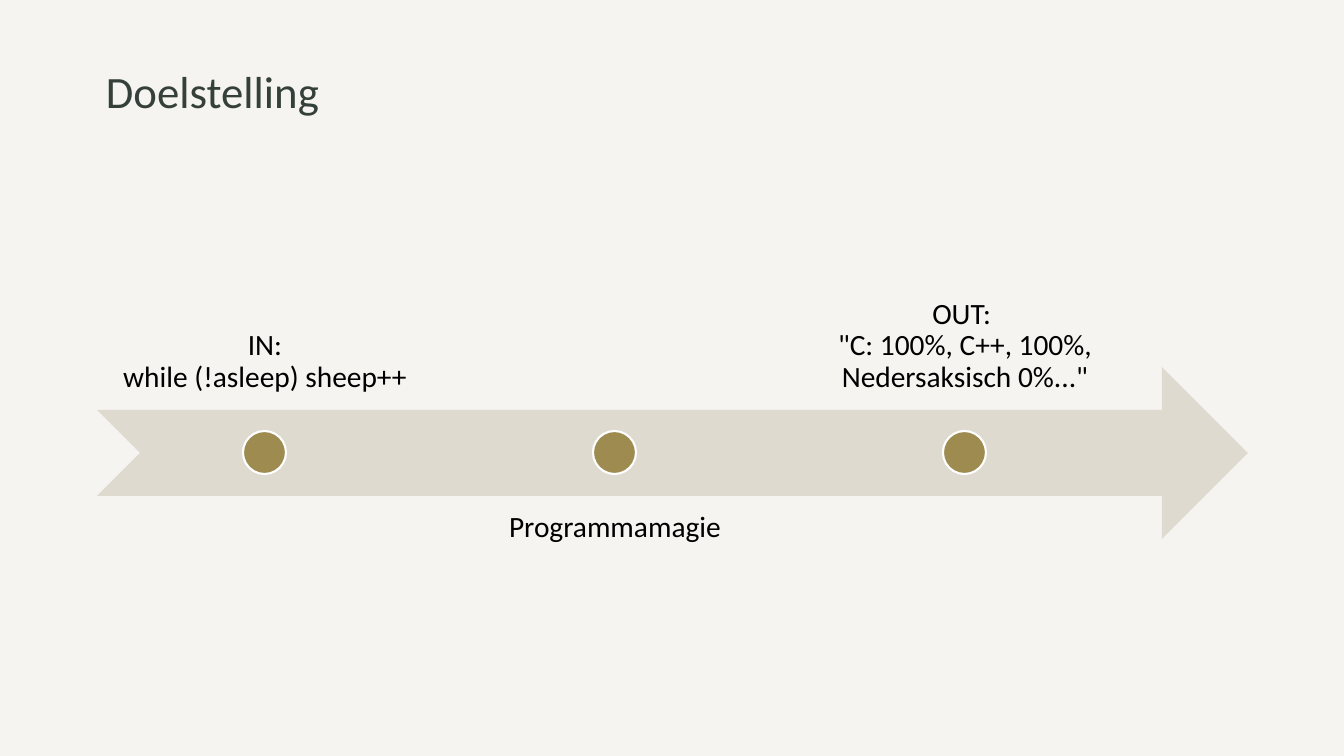
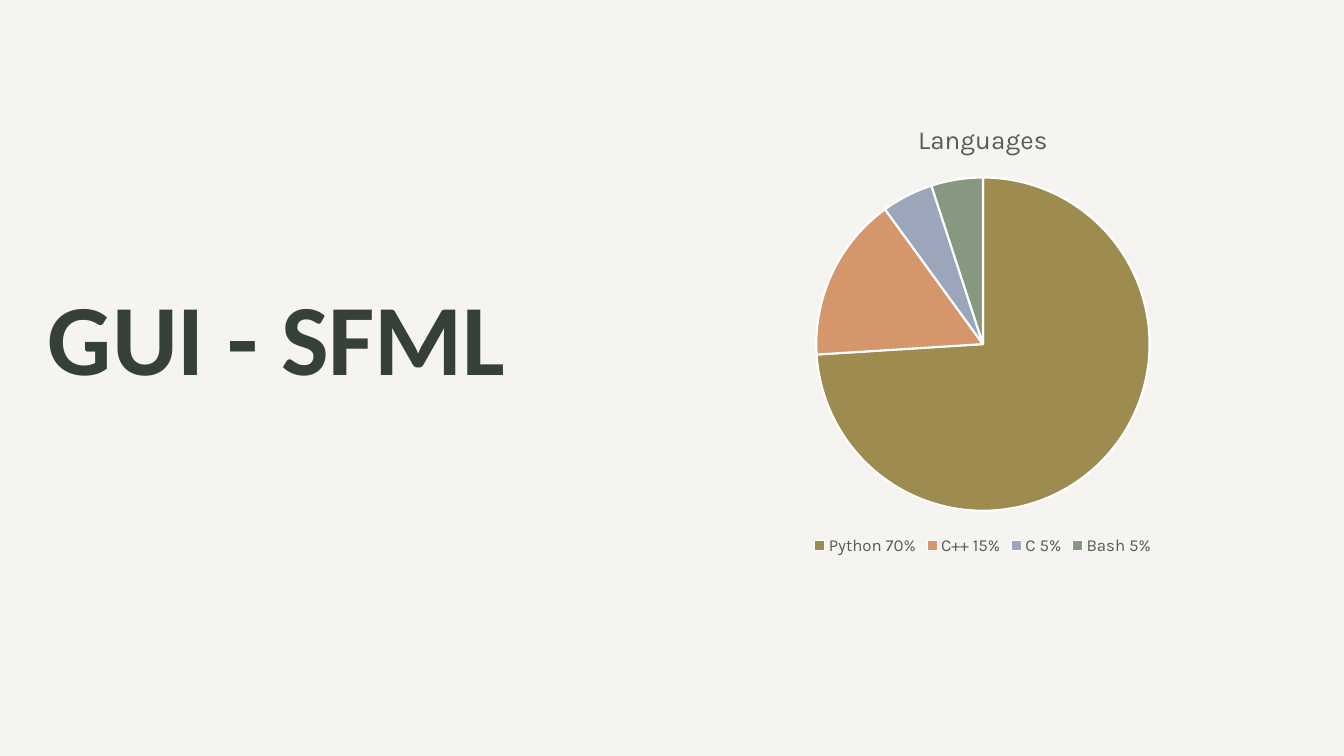
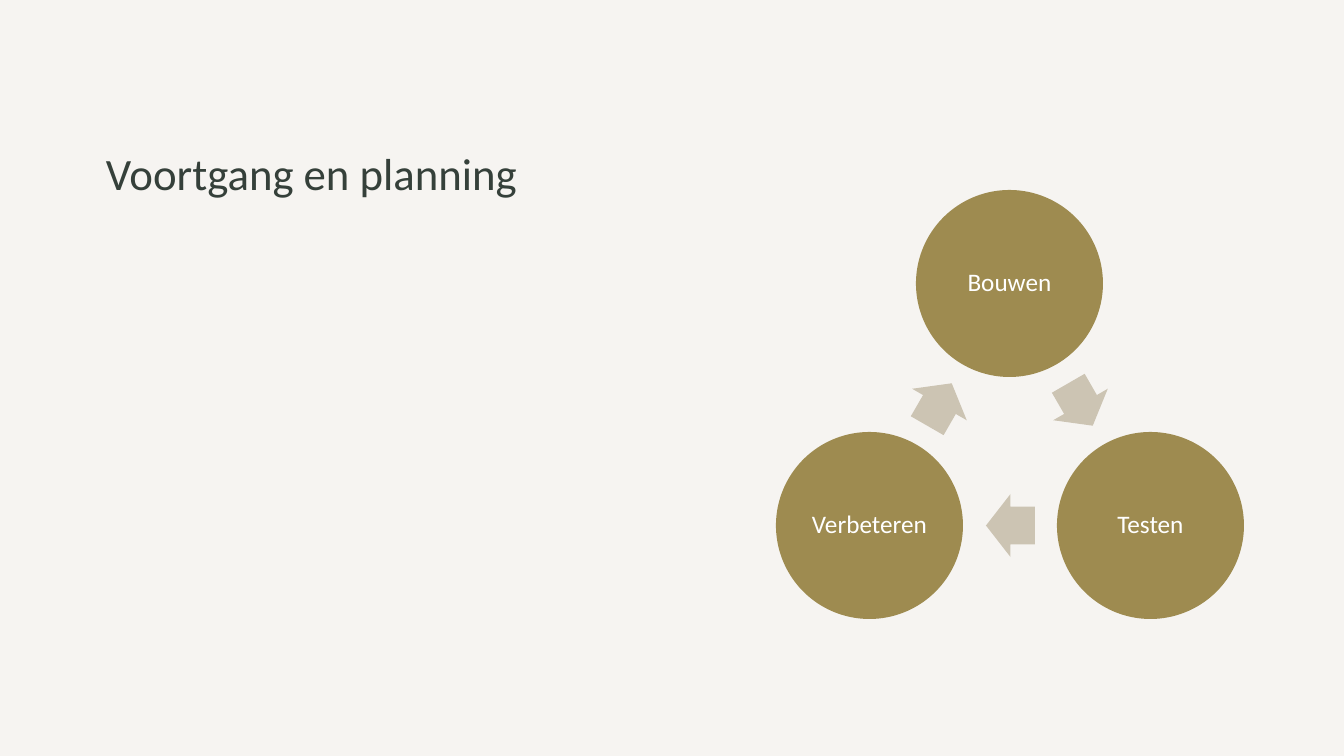
from math import cos, radians, sin

from pptx import Presentation
from pptx.chart.data import CategoryChartData
from pptx.dml.color import RGBColor
from pptx.enum.chart import XL_CHART_TYPE, XL_LEGEND_POSITION
from pptx.enum.shapes import MSO_SHAPE
from pptx.enum.text import MSO_ANCHOR, PP_ALIGN
from pptx.util import Emu, Pt

WIDTH, HEIGHT = 1344, 756
SCALE = 12192000 / WIDTH
PAPER = RGBColor(0xF6, 0xF4, 0xF1)
FOREST = RGBColor(0x35, 0x40, 0x3A)
OLIVE = RGBColor(0x9E, 0x8B, 0x50)
SAND = RGBColor(0xDF, 0xDA, 0xD0)
STONE = RGBColor(0xCC, 0xC4, 0xB3)
CLAY = RGBColor(0xD5, 0x96, 0x6B)
BLUE = RGBColor(0x9B, 0xA6, 0xBB)
SAGE = RGBColor(0x86, 0x98, 0x80)
GRAY = RGBColor(0x59, 0x59, 0x59)
BLACK = RGBColor(0, 0, 0)
WHITE = RGBColor(255, 255, 255)


def px(*lengths):
    return [Emu(round(length * SCALE)) for length in lengths]


def set_values(target, values):
    for name, value in values.items():
        setattr(target, name, value)


class SlideBuilder:
    text_font = "Calibri"
    chart_font = "Karla"

    def __init__(self):
        self.deck = Presentation()
        self.deck.slide_width, self.deck.slide_height = px(WIDTH, HEIGHT)
        background = self.deck.slide_master.background.fill
        background.solid()
        background.fore_color.rgb = PAPER
        self.page = None

    def style_font(self, font, color, **values):
        set_values(font, values)
        font.color.rgb = color

    def fill_text(self, box, text, size, color, anchor, inset=None, align=PP_ALIGN.CENTER,
                  spacing=0.9, bold=False):
        frame = box.text_frame
        set_values(frame, {"word_wrap": True, "vertical_anchor": anchor})
        if inset is not None:
            margin, = px(inset)
            sides = ("left", "top", "right", "bottom")
            set_values(frame, {f"margin_{side}": margin for side in sides})
        para = frame.paragraphs[0]
        para.text = text
        set_values(para, {"alignment": align, "line_spacing": spacing})
        for span in para.runs:
            self.style_font(span.font, color, name=self.text_font, size=Pt(size), bold=bold)

    def new_page(self, title, left, top, height, size=32, bold=False):
        self.page = self.deck.slides.add_slide(self.deck.slide_layouts[6])
        box = self.page.shapes.add_textbox(*px(left, top, 1152, height))
        self.fill_text(box, title, size, FOREST, MSO_ANCHOR.BOTTOM,
                       align=PP_ALIGN.LEFT, spacing=1.0, bold=bold)

    def label(self, text, left, top, width, height, anchor):
        box = self.page.shapes.add_textbox(*px(left, top, width, height))
        self.fill_text(box, text, 21, BLACK, anchor, inset=16)

    def shape(self, kind, left, top, width, height, fill, outline=None, rotation=0):
        shape = self.page.shapes.add_shape(kind, *px(left, top, width, height))
        shape.shadow.inherit = False
        shape.fill.solid()
        shape.fill.fore_color.rgb = fill
        shape.rotation = rotation
        if outline is None:
            shape.line.fill.background()
        else:
            shape.line.color.rgb = outline
            shape.line.width = Pt(1.5)
        return shape

    def pie(self, title, slices, left, top, width, height):
        data = CategoryChartData()
        data.categories = [name for name, value, color in slices]
        data.add_series(title, [value for name, value, color in slices])
        chart = self.page.shapes.add_chart(
            XL_CHART_TYPE.PIE, *px(left, top, width, height), data).chart
        self.style_font(chart.font, BLACK, name=self.chart_font, size=Pt(10))
        chart.has_title = True
        frame = chart.chart_title.text_frame
        frame.text = title
        self.style_font(frame.paragraphs[0].runs[0].font, GRAY,
                        name=self.chart_font, size=Pt(18.6), bold=False)
        chart.has_legend = True
        set_values(chart.legend, {"position": XL_LEGEND_POSITION.BOTTOM,
                                  "include_in_layout": False})
        self.style_font(chart.legend.font, GRAY, name=self.chart_font, size=Pt(12))
        plot = chart.plots[0]
        plot.vary_by_categories = True
        for index, (name, value, color) in enumerate(slices):
            style = plot.series[0].points[index].format
            style.fill.solid()
            style.fill.fore_color.rgb = color
            style.line.color.rgb = WHITE
            style.line.width = Pt(1.5)


def build_goal(builder):
    builder.new_page("Doelstelling", 96, 38, 84)
    builder.shape(MSO_SHAPE.NOTCHED_RIGHT_ARROW, 97, 367, 1151, 172, SAND)
    above, below = (238, MSO_ANCHOR.BOTTOM), (496, MSO_ANCHOR.TOP)
    steps = [
        ("IN:\vwhile (!asleep) sheep++", above),
        ("Programmamagie", below),
        ('OUT: \v"C: 100%, C++, 100%, Nedersaksisch 0%..."', above),
    ]
    width, dot = 334, 43
    for index, (text, (top, anchor)) in enumerate(steps):
        left = 98 + 350 * index
        builder.label(text, left, top, width, 172, anchor)
        builder.shape(MSO_SHAPE.OVAL, left + (width - dot) // 2, 431, dot, dot, OLIVE, WHITE)


def build_languages(builder):
    builder.new_page("GUI - SFML", 38, 262, 139, size=72, bold=True)
    slices = [
        ("Python 70%", 74, OLIVE),
        ("C++ 15%", 16, CLAY),
        ("C 5%", 5, BLUE),
        ("Bash 5%", 5, SAGE),
    ]
    builder.pie("Languages", slices, 647, 103, 672, 457)


def build_planning(builder):
    builder.new_page("Voortgang en planning", 96, 65, 139)

    def place(angle, radius, width, height):
        center_x = 1010 + radius * cos(radians(angle))
        center_y = 445 + radius * sin(radians(angle))
        return round(center_x - width / 2), round(center_y - height / 2), width, height

    for index, text in enumerate(["Bouwen", "Testen", "Verbeteren"]):
        turn = 120 * index
        circle = builder.shape(MSO_SHAPE.OVAL, *place(turn - 90, 162, 187, 187), OLIVE)
        builder.fill_text(circle, text, 18, WHITE, MSO_ANCHOR.MIDDLE, inset=3)
        arrow = builder.shape(MSO_SHAPE.RIGHT_ARROW, *place(turn - 30, 81, 49, 63), STONE,
                              rotation=turn + 60)
        arrow.adjustments[0] = 0.6
        arrow.adjustments[1] = 0.5


def main():
    builder = SlideBuilder()
    build_goal(builder)
    build_languages(builder)
    build_planning(builder)
    builder.deck.save("out.pptx")


if __name__ == "__main__":
    main()
